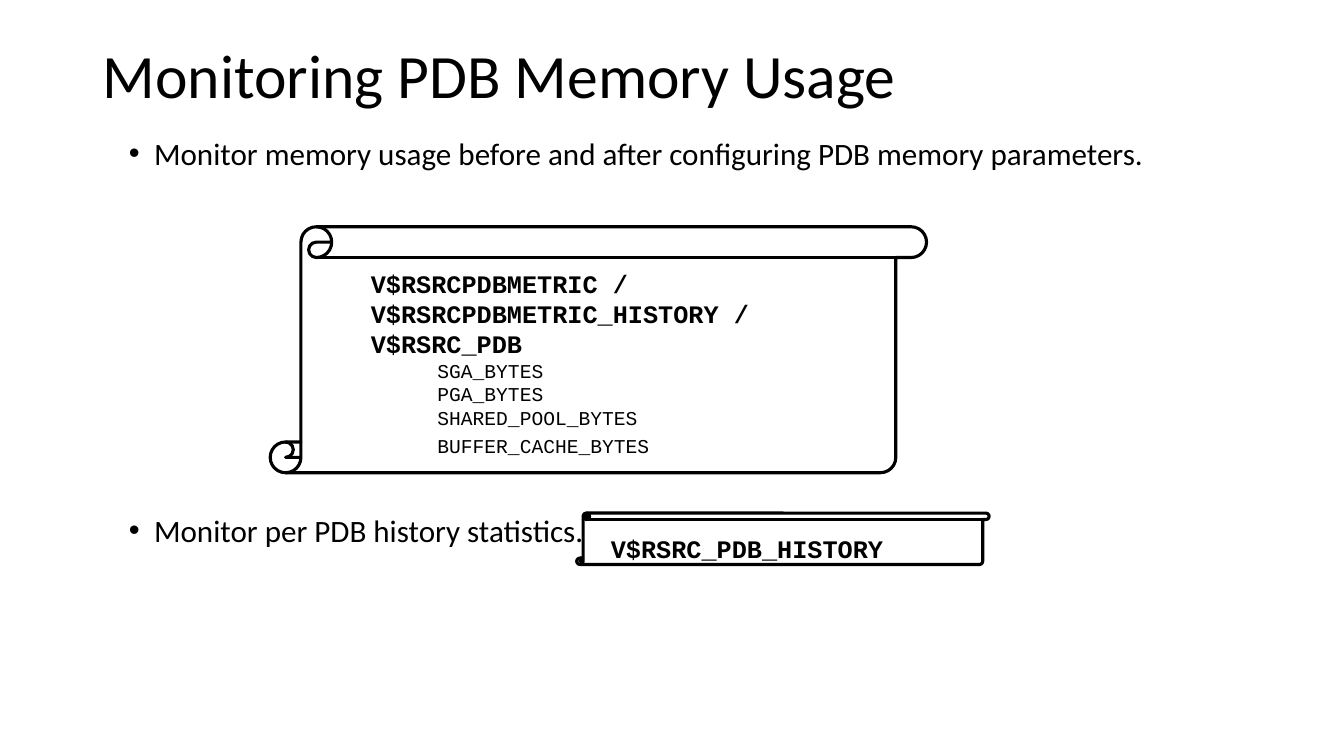
from pptx import Presentation
from pptx.dml.color import RGBColor
from pptx.enum import shapes, text
from pptx.oxml import parse_xml
from pptx.oxml.ns import nsdecls
from pptx.util import Inches, Pt

# Content
TITLE = "Monitoring PDB Memory Usage"
ADVICE = [  # wording, space before in points
    ("Monitor memory usage before and after configuring PDB memory parameters.", 5),
    ("Monitor per PDB history statistics.", 248),
]
METRIC_VIEWS = [  # wording, size, bold, indent in inches, space before in points
    ("V$RSRCPDBMETRIC / V$RSRCPDBMETRIC_HISTORY /", 18, True, 0.67, 0),
    ("V$RSRC_PDB", 18, True, 0.67, 0),
    ("SGA_BYTES", 14, False, 1.33, 0),
    ("PGA_BYTES", 14, False, 1.33, 0),
    ("SHARED_POOL_BYTES", 14, False, 1.33, 0),
    ("BUFFER_CACHE_BYTES", 14, False, 1.33, 3.5),
]
HISTORY_VIEW = [("V$RSRC_PDB_HISTORY", 18, True, 0.08, 0)]

# Each scroll: scroll box, text box, lines, line spacing
SCROLLS = [
    ((2.68, 2.25, 6.51, 2.44), (2.91, 2.61, 5.96, 2.32), METRIC_VIEWS, 1.0),
    ((5.72, 5.09, 4.09, 0.51), (5.88, 5.09, 4.2, 0.52), HISTORY_VIEW, 1.5),
]
COLORS = {"ink": "000000", "paper": "FFFFFF"}
INK = RGBColor.from_string(COLORS["ink"])


def place(box):
    return [Inches(length) for length in box]


def add_run(paragraph, wording, font, size, bold=False):
    run = paragraph.add_run()
    run.text = wording
    run.font.name, run.font.size, run.font.bold = font, Pt(size), bold
    run.font.color.rgb = INK


def add_lines(box, count):
    """Add a wrapping text box and return its paragraphs."""
    frame = slide.shapes.add_textbox(*place(box)).text_frame
    frame.word_wrap = True
    for _ in range(count - 1):
        frame.add_paragraph()
    return frame.paragraphs


def indent(paragraph, left, hanging=0):
    properties = paragraph._p.get_or_add_pPr()
    properties.set("marL", str(Inches(left)))
    properties.set("indent", str(Inches(-hanging)))
    return properties


deck = Presentation()
deck.slide_width, deck.slide_height = Inches(13.33), Inches(7.5)
slide = deck.slides.add_slide(deck.slide_layouts[5])
slide.background.fill.solid()
slide.background.fill.fore_color.rgb = RGBColor.from_string(COLORS["paper"])

# Title
title = slide.shapes.title
title.left, title.top, title.width, title.height = place((0.92, 0.4, 11.5, 1.45))
title.text_frame.auto_size = text.MSO_AUTO_SIZE.NONE
title.text_frame.vertical_anchor = text.MSO_ANCHOR.TOP
heading = title.text_frame.paragraphs[0]
heading.alignment = text.PP_ALIGN.LEFT
heading.line_spacing = 0.9
add_run(heading, TITLE, "Calibri", 44)

# Bulleted advice, with room for the large scroll in between
advice_lines = add_lines((0.68, 1.36, 11.97, 4.23), len(ADVICE))
for paragraph, (wording, before) in zip(advice_lines, ADVICE):
    paragraph.line_spacing = 0.8
    paragraph.space_before = Pt(before)
    properties = indent(paragraph, 0.75, 0.25)
    properties.append(parse_xml(f'<a:buFont {nsdecls("a")} typeface="Arial"/>'))
    properties.append(parse_xml(f'<a:buChar {nsdecls("a")} char="•"/>'))
    add_run(paragraph, wording, "Calibri", 22.2)

# Scrolls listing the views
for scroll_box, text_box, views, spacing in SCROLLS:
    scroll = slide.shapes.add_shape(shapes.MSO_SHAPE.VERTICAL_SCROLL, *place(scroll_box))
    scroll.shadow.inherit = False
    scroll.fill.background()
    scroll.line.color.rgb = INK
    scroll.line.width = Pt(2.25)
    view_lines = add_lines(text_box, len(views))
    for paragraph, (wording, size, bold, left, before) in zip(view_lines, views):
        paragraph.line_spacing = spacing
        paragraph.space_before = Pt(before)
        indent(paragraph, left)
        add_run(paragraph, wording, "Courier New", size, bold)

deck.save("out.pptx")
